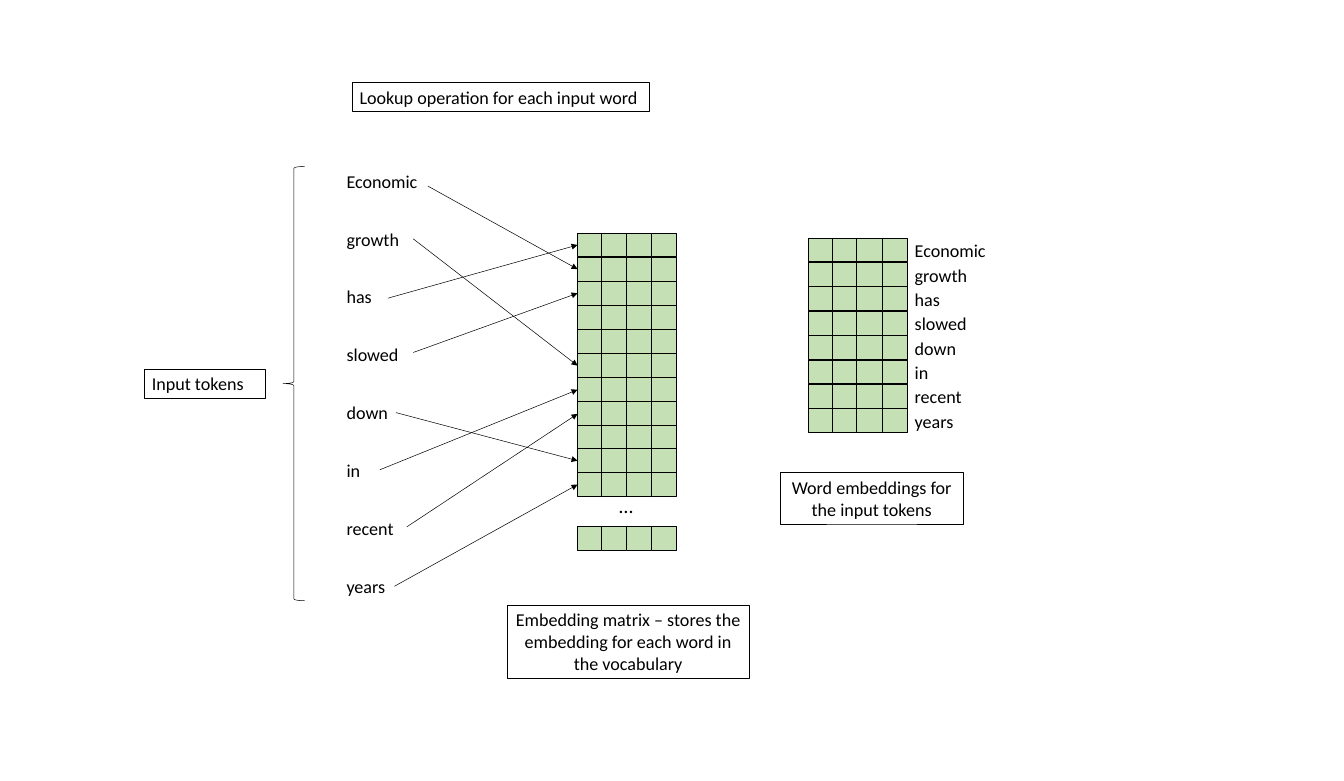
import pptx
import pptx.dml.color
import pptx.enum.shapes
import pptx.enum.text
import pptx.oxml
import pptx.oxml.ns
import pptx.util

Inches = pptx.util.Inches
Shape = pptx.enum.shapes.MSO_SHAPE
Align = pptx.enum.text.PP_ALIGN


class Theme:
    font = "Calibri"
    ink = pptx.dml.color.RGBColor.from_string("000000")
    cell = pptx.dml.color.RGBColor.from_string("C5E0B4")
    text_size = 18
    dots_size = 20
    thin, frame, grid = 0.5, 0.75, 1


def write(box, text, size=Theme.text_size, align=Align.LEFT):
    """Put one formatted paragraph into a box."""
    frame = box.text_frame
    frame.word_wrap = True
    frame.auto_size = pptx.enum.text.MSO_AUTO_SIZE.SHAPE_TO_FIT_TEXT
    frame.vertical_anchor = pptx.enum.text.MSO_ANCHOR.TOP
    para = frame.paragraphs[0]
    para.alignment = align
    span = para.add_run()
    span.text = text
    span.font.name = Theme.font
    span.font.size = pptx.util.Pt(size)
    span.font.color.rgb = Theme.ink


class Diagram:
    cell_size = (0.35, 0.33)
    column_offsets = (0, 0.33, 0.67, 1.02)

    def __init__(self, page, theme):
        self.page = page
        self.theme = theme

    def shape(self, kind, left, top, width, height, line, fill=None, parent=None):
        shapes = (parent or self.page).shapes
        shape = shapes.add_shape(kind, Inches(left), Inches(top), Inches(width), Inches(height))
        shape.shadow.inherit = False
        if fill is None:
            shape.fill.background()
        else:
            shape.fill.solid()
            shape.fill.fore_color.rgb = fill
        shape.line.color.rgb = self.theme.ink
        shape.line.width = pptx.util.Pt(line)
        return shape

    def label(self, text, left, top, width=1.67, height=0.4, parent=None, **style):
        shapes = (parent or self.page).shapes
        box = shapes.add_textbox(Inches(left), Inches(top), Inches(width), Inches(height))
        write(box, text, **style)

    def caption(self, text, left, top, width, height, **style):
        box = self.shape(Shape.RECTANGLE, left, top, width, height, self.theme.frame)
        write(box, text, **style)

    def vector(self, left, top, word=None):
        """One grouped row of cells, with its word to the right if given."""
        row = self.page.shapes.add_group_shape()
        for offset in self.column_offsets:
            self.shape(Shape.RECTANGLE, left + offset, top, *self.cell_size,
                       self.theme.grid, self.theme.cell, row)
        if word:
            self.label(word, left + 1.37, top - 0.03, parent=row)

    def arrow(self, start_x, start_y, end_x, end_y):
        arrow = self.page.shapes.add_connector(
            pptx.enum.shapes.MSO_CONNECTOR.STRAIGHT,
            Inches(start_x), Inches(start_y), Inches(end_x), Inches(end_y))
        arrow.line.color.rgb = self.theme.ink
        arrow.line.width = pptx.util.Pt(self.theme.thin)
        head = pptx.oxml.parse_xml(
            f'<a:tailEnd {pptx.oxml.ns.nsdecls("a")} type="triangle"/>')
        arrow.line._get_or_add_ln().append(head)
        no_shadow = pptx.oxml.parse_xml(f'<a:effectLst {pptx.oxml.ns.nsdecls("a")}/>')
        arrow._element.spPr.append(no_shadow)


# Each token: word, arrow start, row of the embedding matrix it looks up
TOKENS = [
    ("Economic", 5.91, 2.57, 1),
    ("growth", 5.71, 3.3, 5),
    ("has", 5.36, 4.12, 0),
    ("slowed", 5.71, 4.87, 2),
    ("down", 5.47, 5.7, 9),
    ("in", 5.25, 6.49, 6),
    ("recent", 5.62, 7.28, 7),
    ("years", 5.45, 8.1, 10),
]
MATRIX_LEFT = 7.98
MATRIX_TOPS = [3.22 + row / 3 for row in range(8)] + [5.88, 6.2, 6.53, 7.28]
OUTPUT_LEFT, OUTPUT_TOP, OUTPUT_LAST = 11.17, 3.29, 5.65


def main():
    deck = pptx.Presentation()
    deck.slide_width, deck.slide_height = Inches(18.57), Inches(10.79)
    page = deck.slides.add_slide(deck.slide_layouts[6])
    diagram = Diagram(page, Theme)

    # Input tokens
    for index, (word, *_) in enumerate(TOKENS):
        diagram.label(word, 4.69, 2.3 + 0.8 * index)
    diagram.shape(Shape.LEFT_BRACE, 3.91, 2.3, 0.3, 6, Theme.thin)
    diagram.caption("Input tokens", 2, 5.1, 1.67, 0.4)

    # Embedding matrix
    for top in MATRIX_TOPS:
        diagram.vector(MATRIX_LEFT, top)
    diagram.label("…", 8.31, 6.77, 0.68, 0.44, size=Theme.dots_size, align=Align.CENTER)
    diagram.caption("Embedding matrix – stores the embedding for each word in the vocabulary",
                    7.01, 8.36, 3.34, 1.01, align=Align.CENTER)

    # Lookup arrows, each ending at the middle of its matrix row
    for _, start_x, start_y, row in TOKENS:
        middle = MATRIX_TOPS[row] + diagram.cell_size[1] / 2
        diagram.arrow(start_x, start_y, MATRIX_LEFT, middle)
    diagram.caption("Lookup operation for each input word", 4.87, 1.14, 4.1, 0.4)

    # Resulting word embeddings
    step = (OUTPUT_LAST - OUTPUT_TOP) / (len(TOKENS) - 1)
    for index, (word, *_) in enumerate(TOKENS):
        diagram.vector(OUTPUT_LEFT, OUTPUT_TOP + step * index, word)
    diagram.caption("Word embeddings for the input tokens",
                    10.78, 6.53, 2.53, 0.71, align=Align.CENTER)

    deck.save("out.pptx")


if __name__ == "__main__":
    main()
